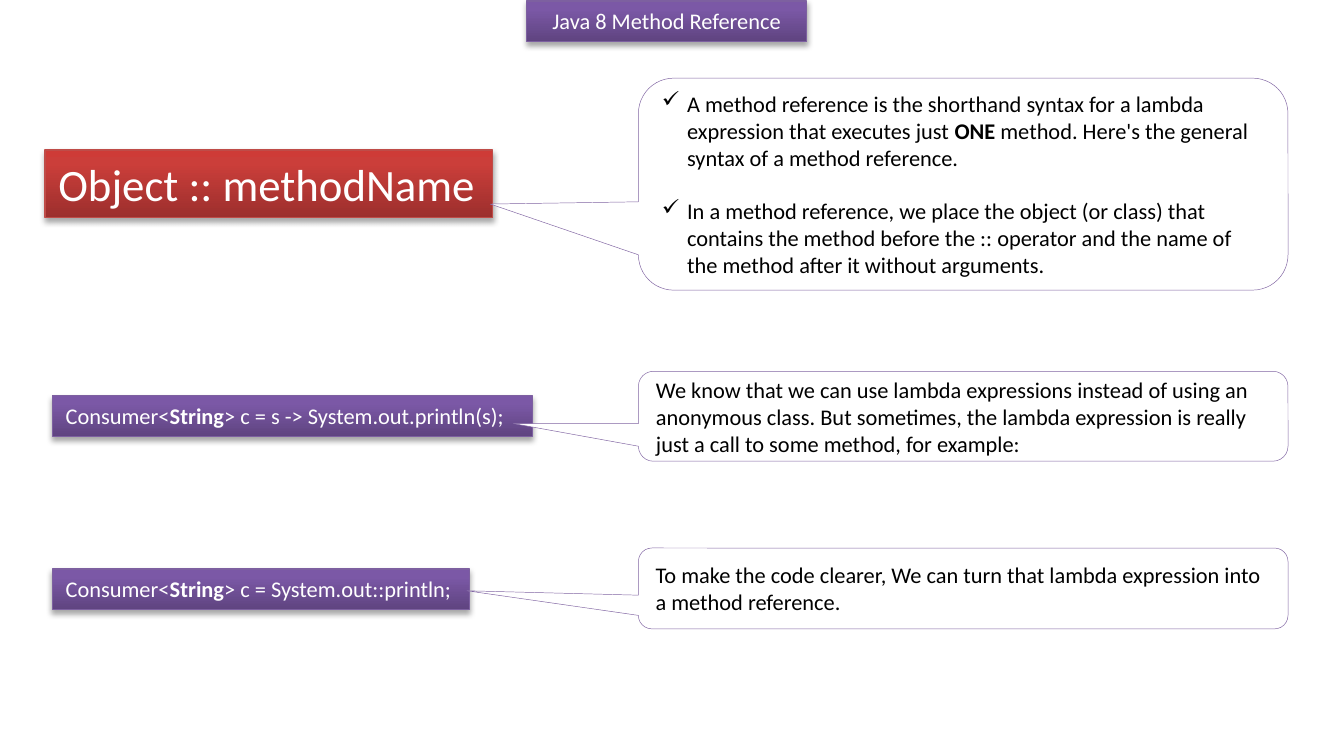
from pptx import Presentation
from pptx.dml.color import RGBColor
from pptx.enum.shapes import MSO_SHAPE
from pptx.enum.text import MSO_ANCHOR, PP_ALIGN
from pptx.oxml import parse_xml
from pptx.oxml.ns import nsdecls
from pptx.util import Pt

WHITE = RGBColor(0xFF, 0xFF, 0xFF)
BLACK = RGBColor(0, 0, 0)
VIOLET = RGBColor(0x80, 0x64, 0xA2)
PURPLE = [RGBColor(0x5F, 0x44, 0x80), RGBColor(0x7B, 0x58, 0xA6), RGBColor(0x7C, 0x57, 0xA8)]
PLUM = RGBColor(0x7D, 0x60, 0xA0)
RED = [RGBColor(0x9C, 0x2F, 0x2D), RGBColor(0xCB, 0x3E, 0x3A), RGBColor(0xCE, 0x3B, 0x37)]
BRICK = RGBColor(0xBF, 0x4C, 0x48)

deck = Presentation()
deck.slide_width, deck.slide_height = Pt(720), Pt(396)
slide = deck.slides.add_slide(deck.slide_layouts[6])


def write(para, parts, size, color, align=PP_ALIGN.LEFT):
    para.alignment = align
    para.font.name = "Calibri"
    para.font.size = Pt(size)
    para.font.color.rgb = color
    for part in parts:
        run = para.add_run()
        run.text = part
        if part in ("ONE", "String"):
            run.font.bold = True


bars = [
    (282.1, 0.5, 150.1, 21.8, PURPLE, PLUM, 12, PP_ALIGN.CENTER, ["Java 8 Method Reference"]),
    (24.2, 80.3, 239.8, 36.3, RED, BRICK, 24, PP_ALIGN.LEFT, ["Object :: methodName"]),
    (28.1, 212, 257.2, 21.8, PURPLE, PLUM, 12, PP_ALIGN.LEFT,
     ["Consumer<", "String", "> c = s -> System.out.println(s);"]),
    (28.1, 304.8, 223.4, 21.8, PURPLE, PLUM, 12, PP_ALIGN.LEFT,
     ["Consumer<", "String", "> c = System.out::println;"]),
]
for left, top, width, height, shades, edge, size, align, parts in bars:
    bar = slide.shapes.add_shape(MSO_SHAPE.RECTANGLE, Pt(left), Pt(top), Pt(width), Pt(height))
    stops = "".join(
        f'<a:gs pos="{pos}"><a:srgbClr val="{shade}"/></a:gs>'
        for pos, shade in zip((0, 80000, 100000), shades))
    props = bar.element.spPr
    props.append(parse_xml(
        f'<a:gradFill {nsdecls("a")} rotWithShape="1"><a:gsLst>{stops}</a:gsLst>'
        '<a:lin ang="16200000" scaled="0"/></a:gradFill>'))
    bar.line.color.rgb = edge
    bar.line.width = Pt(0.75)
    props.append(parse_xml(
        f'<a:effectLst {nsdecls("a")}><a:outerShdw blurRad="{Pt(3.1)}" dist="{Pt(1.8)}" '
        'dir="5400000" rotWithShape="0"><a:srgbClr val="000000"><a:alpha val="35000"/>'
        '</a:srgbClr></a:outerShdw></a:effectLst>'))
    frame = bar.text_frame
    frame.word_wrap = True
    frame.vertical_anchor = MSO_ANCHOR.TOP
    write(frame.paragraphs[0], parts, size, WHITE, align)

notes = [
    (41.9, 113.6, -0.728, 0.094, True, [
        ["A method reference is the shorthand syntax for a lambda expression that executes just ",
         "ONE", " method. Here's the general syntax of a method reference."],
        ["In a method reference, we place the object (or class) that contains the method before "
         "the :: operator and the name of the method after it without arguments."]]),
    (199, 48.2, -0.693, 0.081, False, [
        ["We know that we can use lambda expressions instead of using an anonymous class. "
         "But sometimes, the lambda expression is really just a call to some method, "
         "for example:"]]),
    (293.7, 43.3, -0.764, 0.029, False, [
        ["To make the code clearer, We can turn that lambda expression into "
         "a method reference."]]),
]
for top, height, tipx, tipy, ticked, texts in notes:
    note = slide.shapes.add_shape(
        MSO_SHAPE.ROUNDED_RECTANGULAR_CALLOUT, Pt(342), Pt(top), Pt(348), Pt(height))
    note.shadow.inherit = False
    note.adjustments[0] = tipx
    note.adjustments[1] = tipy
    note.fill.solid()
    note.fill.fore_color.rgb = WHITE
    note.line.color.rgb = VIOLET
    note.line.width = Pt(0.25)
    frame = note.text_frame
    frame.word_wrap = True
    frame.vertical_anchor = MSO_ANCHOR.MIDDLE
    for num, parts in enumerate(texts):
        para = frame.add_paragraph() if num else frame.paragraphs[0]
        if num:
            para.space_before = Pt(14.4)
        if ticked:
            pr = para._p.get_or_add_pPr()
            pr.set("marL", str(Pt(13.5)))
            pr.set("indent", str(Pt(-13.5)))
            pr.append(parse_xml(f'<a:buChar {nsdecls("a")} char="✓"/>'))
        write(para, parts, 12, BLACK)

deck.save("out.pptx")
